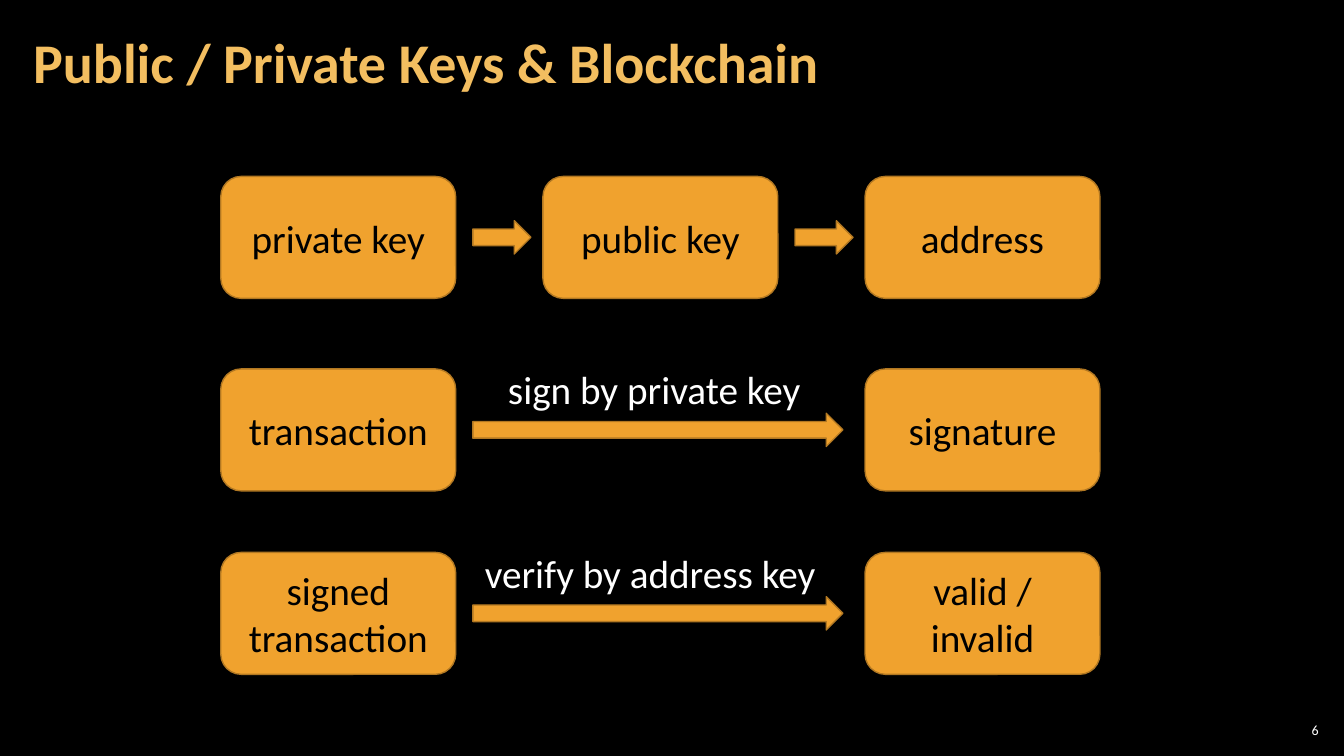
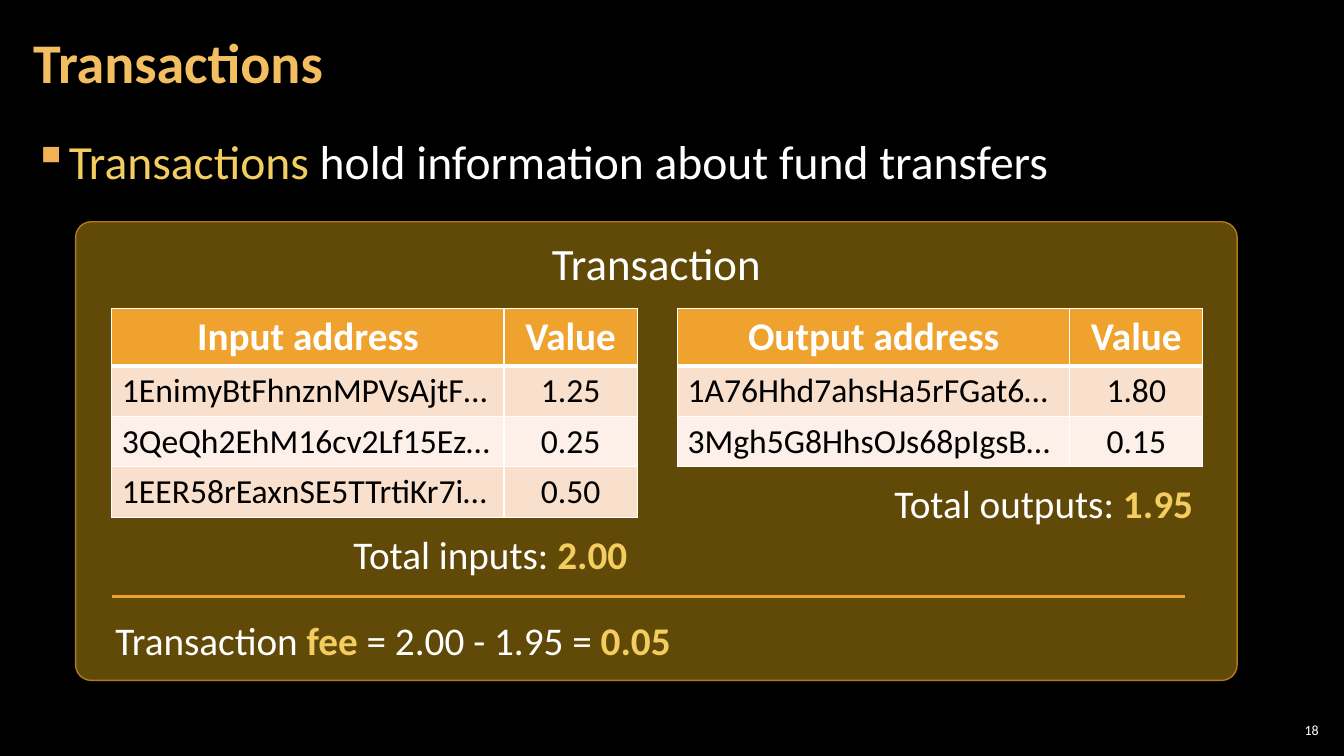
from lxml.etree import SubElement
from pptx import Presentation
from pptx.dml.color import RGBColor
from pptx.enum.shapes import MSO_CONNECTOR, MSO_SHAPE as Preset
from pptx.enum.text import MSO_ANCHOR as Anchor, PP_ALIGN as Align
from pptx.oxml.ns import qn
from pptx.util import Inches, Pt

FONT = "Calibri"
COLORS = {
    "background": "000000", "title": "F3BE60", "text": "FFFFFF", "dark": "000000",
    "highlight": "F3CD60", "bullet": "F2B254", "accent": "F0A22E", "outline": "B27822",
    "panel": "614907", "odd_row": "F9E0CD", "even_row": "FCF0E8", "grid": "FFFFFF",
}
# Run styles: colour and bold
STYLES = {
    "title": ("title", True), "plain": ("text", False), "header": ("text", True),
    "dark": ("dark", False), "highlight": ("highlight", False), "strong": ("highlight", True),
}
TIGHT = (0.12, 0.04)
NORMAL = (0.1, 0.05)

# Key flow: grid of boxes, arrows running from one column to another
COLUMNS = [2.19 + 3.195 * column for column in range(3)]
BOX_WIDTH, BOX_HEIGHT = 2.33, 1.21
ARROW_HEIGHT, ARROW_START = 0.33, 0.17
FLOWS = [
    {"top": 1.75, "boxes": {0: "private key", 1: "public key", 2: "address"},
     "arrows": [(0, 1), (1, 2)], "arrow_end": 0.12},
    {"top": 3.66, "boxes": {0: "transaction", 2: "signature"},
     "arrows": [(0, 2)], "arrow_end": 0.22, "label": ("sign by private key", 4.94, 3.13)},
    {"top": 5.48, "boxes": {0: "signed transaction", 2: "valid / invalid"},
     "arrows": [(0, 2)], "arrow_end": 0.22, "label": ("verify by address key", 4.71, 3.52)},
]

# Transaction panel: two tables side by side, each with its total below
TABLE_TOP, TABLE_COLUMNS = 3.06, (3.89, 1.32)
TABLE_WIDTH = sum(TABLE_COLUMNS)
HEADER_HEIGHT, ROW_HEIGHT = 0.57, 0.5
TABLES = [
    {"left": 1.11, "total": ("Total inputs: ", "2.00"), "rows": [
        ("Input address", "Value"),
        ("1EnimyBtFhnznMPVsAjtF…", "1.25"),
        ("3QeQh2EhM16cv2Lf15Еz…", "0.25"),
        ("1EER58rEaxnSE5TTrtiKr7i…", "0.50")]},
    {"left": 6.72, "total": ("Total outputs: ", "1.95"), "rows": [
        ("Output address", "Value"),
        ("1A76Hhd7ahsHa5rFGat6…", "1.80"),
        ("3Mgh5G8HhsOJs68pIgsB…", "0.15")]},
]
BULLET = [("Transactions", "highlight"), (" hold information about fund transfers", "plain")]
FEE = [("Transaction ", "plain"), ("fee", "strong"),
       (" = 2.00 - 1.95 = ", "plain"), ("0.05", "strong")]


def color(name):
    return RGBColor.from_string(COLORS[name])


def inches(*lengths):
    return [Inches(length) for length in lengths]


def write(text_frame, runs, size, align=Align.LEFT):
    """Fill the first paragraph with (text, style) runs and return it."""
    paragraph = text_frame.paragraphs[0]
    paragraph.alignment = align
    for text, style in runs:
        run = paragraph.add_run()
        run.text = text
        color_name, run.font.bold = STYLES[style]
        run.font.name, run.font.size = FONT, Pt(size)
        run.font.color.rgb = color(color_name)
    return paragraph


def add_text(slide, box, runs, size, align=Align.LEFT, anchor=Anchor.TOP,
             margins=NORMAL, wrap=True):
    text_frame = slide.shapes.add_textbox(*inches(*box)).text_frame
    text_frame.word_wrap = wrap
    text_frame.vertical_anchor = anchor
    text_frame.margin_left = text_frame.margin_right = Inches(margins[0])
    text_frame.margin_top = text_frame.margin_bottom = Inches(margins[1])
    return write(text_frame, runs, size, align)


def add_block(slide, preset, box, fill="accent"):
    shape = slide.shapes.add_shape(preset, *inches(*box))
    shape.shadow.inherit = False
    shape.fill.solid()
    shape.fill.fore_color.rgb = color(fill)
    shape.line.color.rgb = color("outline")
    shape.line.width = Pt(1)
    return shape


def add_slide(presentation, title, number):
    """Add a slide with the shared background, title and page number."""
    slide = presentation.slides.add_slide(presentation.slide_layouts[6])
    slide.background.fill.solid()
    slide.background.fill.fore_color.rgb = color("background")
    add_text(slide, (12.65, 7.14, 0.47, 0.21), [(str(number), "plain")], 10,
             Align.RIGHT, Anchor.MIDDLE, (0.04, 0.04))
    heading = add_text(slide, (0.21, 0.04, 10.47, 1.21), [(title, "title")], 40,
                       anchor=Anchor.MIDDLE, margins=TIGHT)
    heading.line_spacing = 0.9
    return slide


def add_flow(slide, flow):
    top = flow["top"]
    for column, text in flow["boxes"].items():
        box = add_block(slide, Preset.ROUNDED_RECTANGLE,
                        (COLUMNS[column], top, BOX_WIDTH, BOX_HEIGHT))
        box.text_frame.word_wrap = True
        box.text_frame.vertical_anchor = Anchor.MIDDLE
        write(box.text_frame, [(text, "dark")], 28, Align.CENTER)
    for start, end in flow["arrows"]:
        left = COLUMNS[start] + BOX_WIDTH + ARROW_START
        width = COLUMNS[end] - flow["arrow_end"] - left
        add_block(slide, Preset.RIGHT_ARROW,
                  (left, top + (BOX_HEIGHT - ARROW_HEIGHT) / 2, width, ARROW_HEIGHT))
    if "label" in flow:
        text, left, width = flow["label"]
        add_text(slide, (left, top - 0.08, width, 0.57), [(text, "plain")], 28, wrap=False)


def add_bullet(paragraph):
    paragraph.line_spacing = 1.05
    paragraph.space_before = paragraph.space_after = Pt(6)
    properties = paragraph._p.get_or_add_pPr()
    properties.set("marL", str(Inches(0.33)))
    properties.set("indent", str(-Inches(0.33)))
    bullet_color = SubElement(properties, qn("a:buClr"))
    SubElement(bullet_color, qn("a:srgbClr"), val=COLORS["bullet"])
    SubElement(properties, qn("a:buChar"), char="▪")


def set_borders(cell, row):
    """Draw thin grid lines, with a thick one under the header row."""
    widths = {"L": 1, "R": 1, "T": 3 if row == 1 else 1, "B": 3 if row == 0 else 1}
    properties = cell._tc.get_or_add_tcPr()
    for side, width in widths.items():
        line = SubElement(properties, qn(f"a:ln{side}"), w=str(Pt(width)))
        fill = SubElement(line, qn("a:solidFill"))
        SubElement(fill, qn("a:srgbClr"), val=COLORS["grid"])


def add_address_table(slide, left, rows, total):
    height = HEADER_HEIGHT + ROW_HEIGHT * (len(rows) - 1)
    table = slide.shapes.add_table(len(rows), len(TABLE_COLUMNS),
                                   *inches(left, TABLE_TOP, TABLE_WIDTH, height)).table
    for column, width in zip(table.columns, TABLE_COLUMNS):
        column.width = Inches(width)
    for row, values in enumerate(rows):
        is_header = row == 0
        table.rows[row].height = Inches(HEADER_HEIGHT if is_header else ROW_HEIGHT)
        fill = "accent" if is_header else "odd_row" if row % 2 else "even_row"
        for column, value in enumerate(values):
            cell = table.cell(row, column)
            set_borders(cell, row)
            cell.fill.solid()
            cell.fill.fore_color.rgb = color(fill)
            write(cell.text_frame, [(value, "header" if is_header else "dark")],
                  28 if is_header else 24,
                  Align.CENTER if is_header or column else Align.LEFT)
    caption, amount = total
    add_text(slide, (left, TABLE_TOP + height + 0.08, TABLE_WIDTH, 0.57),
             [(caption, "plain"), (amount, "strong")], 28, Align.RIGHT)


def add_divider(slide, left, right, top):
    divider = slide.shapes.add_connector(MSO_CONNECTOR.STRAIGHT,
                                         *inches(left, top, right, top))
    divider.line.color.rgb = color("accent")
    divider.line.width = Pt(2)
    SubElement(divider._element.spPr, qn("a:effectLst"))


def build_keys_slide(presentation):
    slide = add_slide(presentation, "Public / Private Keys & Blockchain", 6)
    for flow in FLOWS:
        add_flow(slide, flow)


def build_transactions_slide(presentation):
    slide = add_slide(presentation, "Transactions", 18)
    add_bullet(add_text(slide, (0.21, 1.24, 12.91, 6.09), BULLET, 34, margins=TIGHT))
    panel = add_block(slide, Preset.ROUNDED_RECTANGLE, (0.75, 2.2, 11.52, 4.55), "panel")
    panel.adjustments[0] = 0.034
    add_text(slide, (0.85, 2.29, 11.32, 0.64), [("Transaction", "plain")], 32, Align.CENTER)
    for table in TABLES:
        add_address_table(slide, **table)
    add_divider(slide, 1.11, 11.75, 5.92)
    add_text(slide, (0.86, 6.07, 5.89, 0.57), FEE, 28, Align.RIGHT)


def main():
    presentation = Presentation()
    presentation.slide_width, presentation.slide_height = inches(13.33, 7.5)
    build_keys_slide(presentation)
    build_transactions_slide(presentation)
    presentation.save("out.pptx")


if __name__ == "__main__":
    main()
